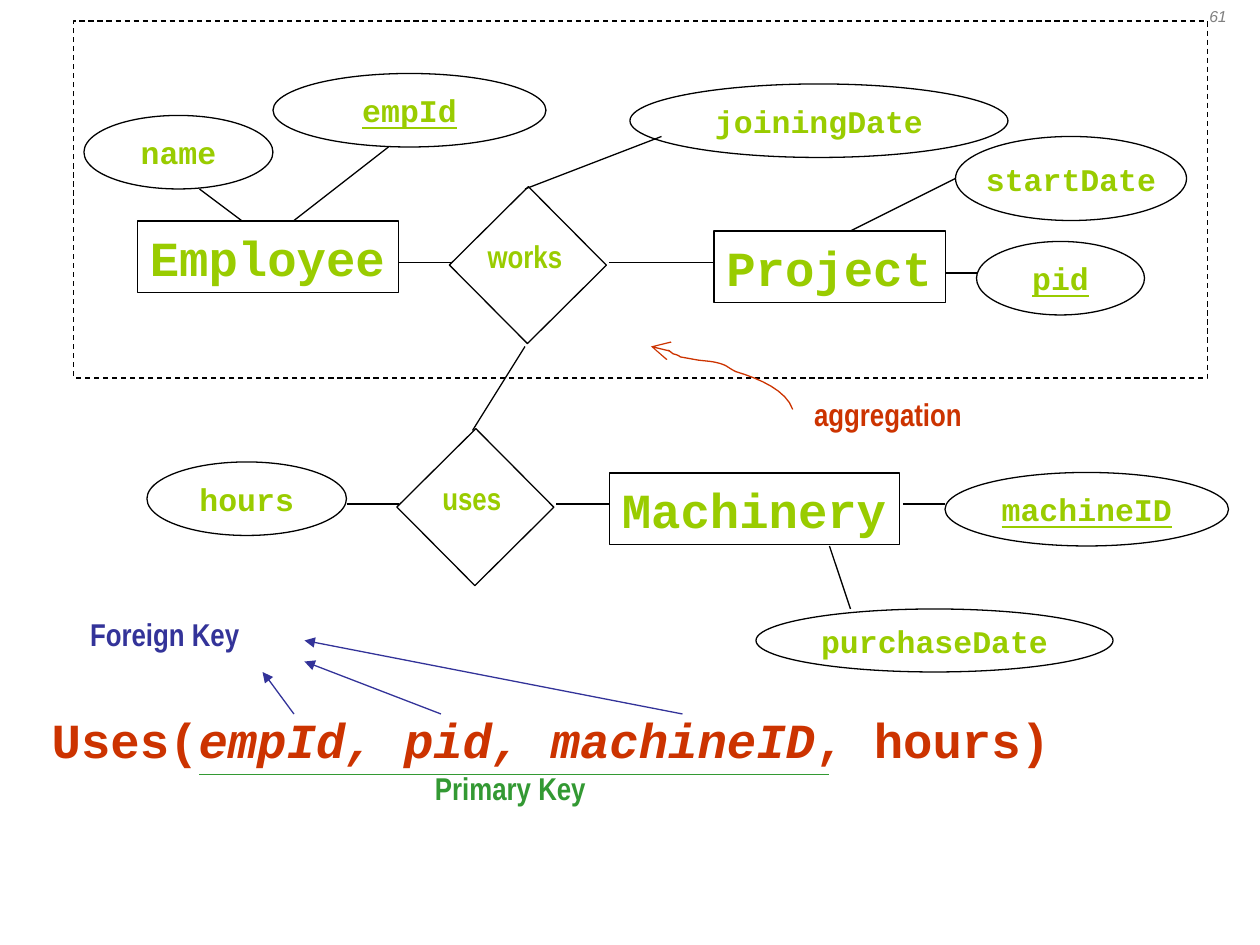
"""Draw an entity-relationship slide that shows aggregation."""
from dataclasses import dataclass
from typing import Any, NamedTuple

from lxml.etree import SubElement
from pptx import Presentation
from pptx.dml.color import RGBColor
from pptx.enum.dml import MSO_LINE
from pptx.enum.shapes import MSO_CONNECTOR, MSO_SHAPE
from pptx.enum.text import MSO_ANCHOR, MSO_AUTO_SIZE, PP_ALIGN
from pptx.oxml.ns import qn
from pptx.util import Emu, Inches, Pt


@dataclass(frozen=True)
class Theme:
    ink: str = "000000"
    lime: str = "99CC00"
    red: str = "CC3300"
    blue: str = "333399"
    green: str = "339933"
    gray: str = "808080"
    mono: str = "Courier New"
    thin: str = "Arial Narrow"
    sans: str = "Arial"
    large: int = 28
    body: int = 18
    small: int = 9
    rule: float = 0.75


class Box(NamedTuple):
    col: float
    row: float
    wide: float
    high: float


class Node(NamedTuple):
    word: str
    box: Box
    key: bool = False


class Label(NamedTuple):
    word: str
    box: Box
    color: str


class Link(NamedTuple):
    col: float
    row: float
    col2: float
    row2: float


Point = tuple[float, float]
Style = dict[str, Any]

T = Theme()
WIDE, HIGH = Inches(10), Inches(7.5)
COLS, ROWS = 120, 90
TAG = {"name": T.thin, "size": Pt(T.body), "bold": True}
FIELD = {"name": T.mono, "size": Pt(T.body), "bold": True}
TITLE = {"name": T.mono, "size": Pt(T.large), "bold": True}
PAGE = {"name": T.sans, "size": Pt(T.small), "italic": True}
GROW = {"word_wrap": False, "auto_size": MSO_AUTO_SIZE.SHAPE_TO_FIT_TEXT,
        "vertical_anchor": MSO_ANCHOR.TOP}
MID = {"word_wrap": False, "vertical_anchor": MSO_ANCHOR.MIDDLE}
WRAP = {"word_wrap": True, "vertical_anchor": MSO_ANCHOR.TOP}
HOLLOW = {"type": "arrow", "w": "lg", "len": "lg"}
SOLID = {"type": "triangle"}

FRAME = Box(7, 2, 108, 34)
RHOMBS = [Box(45, 19.95, 10.55, 10.6), Box(40, 43, 10.55, 10.6)]
TABLES = [
    Node("Employee", Box(13.1, 21.05, 24.85, 6.8)),
    Node("Project", Box(68, 22, 22.05, 6.8)),
    Node("Machinery", Box(58.05, 45.05, 27.65, 6.8)),
]
FIELDS = [
    Node("name", Box(8, 11, 18, 7)),
    Node("joiningDate", Box(60, 8, 36, 7)),
    Node("machineID", Box(90, 45, 27, 7), True),
    Node("purchaseDate", Box(72, 58, 34, 6)),
    Node("empId", Box(26, 7, 26, 7), True),
    Node("hours", Box(14, 44, 19, 7)),
    Node("pid", Box(93, 23, 16, 7), True),
    Node("startDate", Box(91, 13, 22, 8)),
]
LABELS = [
    Label("works", Box(45.25, 22, 9.7, 4.8), T.lime),
    Label("uses", Box(40.95, 45, 8.2, 4.8), T.lime),
    Label("aggregation", Box(76.35, 37, 16.8, 4.8), T.red),
    Label("Primary Key", Box(40.25, 72.7, 17, 4.8), T.green),
    Label("Foreign Key", Box(7.4, 58, 16.8, 4.8), T.blue),
]
LINKS = [
    Link(23, 21, 19, 18), Link(28, 21, 37, 14), Link(38, 25, 43, 25),
    Link(58, 25, 68, 25), Link(53, 48, 58, 48), Link(79, 52, 81, 58),
    Link(50, 18, 63, 13), Link(38, 48, 33, 48), Link(45, 41, 50, 33),
    Link(86, 48, 90, 48), Link(81, 22, 91, 17), Link(90, 26, 93, 26),
]
ARROWS = [Link(42, 68, 29, 63), Link(65, 68, 29, 61)]
KEYLINE = Link(19, 73.75, 79, 73.75)
SWOOP = [
    (75.5, 39), (74.9, 37.2), (72.4, 36.1), (70.1, 35.4),
    (69.6, 35.2), (69.2, 34.8), (68.8, 34.7),
    (68, 34.4), (67.2, 34.4), (66.5, 34.3),
    (65.9, 34.2), (65.4, 34.1), (64.8, 34),
    (64.6, 33.8), (64.1, 33.7), (64.1, 33.7),
    (64, 33.6), (63.7, 33.4), (63.6, 33.3),
    (63, 33.2), (62, 33), (62, 33),
]
HOOK = [(28, 68), (26.8, 66.4), (25.6, 64.7), (25, 64)]


def place(*cells: float) -> list[Emu]:
    """Turn alternating columns and rows into slide lengths."""
    units = (WIDE / COLS, HIGH / ROWS)
    return [Emu(round(cell * units[i % 2])) for i, cell in enumerate(cells)]


def apply(item: Any, style: Style) -> None:
    """Set every value of a style on an item."""
    for name, value in style.items():
        setattr(item, name, value)


def stroke(item: Any, color: str, tip: Style | None = None) -> None:
    """Give an item a thin line and perhaps an arrow tip."""
    item.line.color.rgb = RGBColor.from_string(color)
    item.line.width = Pt(T.rule)
    if tip:
        edge = item._element.spPr.find(qn("a:ln"))
        SubElement(edge, qn("a:tailEnd"), tip)


def write(item: Any, runs: list[tuple[str, Style]], frame: Style,
          color: str, align: PP_ALIGN) -> None:
    """Fill an item with one paragraph of styled runs."""
    apply(item.text_frame, frame)
    para = item.text_frame.paragraphs[0]
    para.alignment = align
    for word, style in runs:
        run = para.add_run()
        run.text = word
        apply(run.font, style)
        run.font.color.rgb = RGBColor.from_string(color)


def shape(slide: Any, kind: MSO_SHAPE, box: Box) -> Any:
    """Add a hollow outlined shape."""
    item = slide.shapes.add_shape(kind, *place(*box))
    item.shadow.inherit = False
    item.fill.background()
    stroke(item, T.ink)
    return item


def note(slide: Any, box: Box, runs: list[tuple[str, Style]], color: str,
         frame: Style = GROW, align: PP_ALIGN = PP_ALIGN.LEFT) -> None:
    """Add a text box."""
    write(slide.shapes.add_textbox(*place(*box)), runs, frame, color, align)


def join(slide: Any, link: Link, color: str, tip: Style | None = None) -> None:
    """Add a straight line between two grid points."""
    item = slide.shapes.add_connector(MSO_CONNECTOR.STRAIGHT, *place(*link))
    stroke(item, color, tip)
    SubElement(item._element.spPr, qn("a:effectLst"))


def curve(slide: Any, knots: list[Point], color: str, tip: Style,
          steps: int = 8) -> None:
    """Add an open outline along chained cubic curves."""
    dots = []
    for i in range(0, len(knots) - 1, 3):
        for step in range(1, steps + 1):
            t = step / steps
            parts = ((1 - t) ** 3, 3 * t * (1 - t) ** 2, 3 * t * t * (1 - t), t ** 3)
            dots.append(place(*(sum(w * k[axis] for w, k in zip(parts, knots[i:i + 4]))
                                for axis in (0, 1))))
    pen = slide.shapes.build_freeform(*place(*knots[0]))
    pen.add_line_segments(dots, close=False)
    item = pen.convert_to_shape()
    item.shadow.inherit = False
    item.fill.background()
    stroke(item, color, tip)


def main() -> None:
    """Build and save the slide."""
    deck = Presentation()
    apply(deck, {"slide_width": WIDE, "slide_height": HIGH})
    slide = deck.slides.add_slide(deck.slide_layouts[6])
    note(slide, Box(112, 0.05, 8, 6), [("61", PAGE)], T.gray, WRAP, PP_ALIGN.CENTER)
    shape(slide, MSO_SHAPE.RECTANGLE, FRAME).line.dash_style = MSO_LINE.DASH
    for box in RHOMBS:
        shape(slide, MSO_SHAPE.RECTANGLE, box).rotation = 45.2
    for node in TABLES:
        item = shape(slide, MSO_SHAPE.RECTANGLE, node.box)
        write(item, [(node.word, TITLE)], GROW, T.lime, PP_ALIGN.LEFT)
    for node in FIELDS:
        item = shape(slide, MSO_SHAPE.OVAL, node.box)
        style = FIELD | {"underline": node.key}
        write(item, [(node.word, style)], MID, T.lime, PP_ALIGN.CENTER)
    for link in LINKS:
        join(slide, link, T.ink)
    for label in LABELS:
        note(slide, label.box, [(label.word, TAG)], label.color)
    note(slide, Box(3.75, 67, 97.9, 6.8),
         [("Uses(", TITLE), ("empId, pid, machineID", TITLE | {"italic": True}),
          (", hours)", TITLE)], T.red)
    join(slide, KEYLINE, T.green)
    curve(slide, SWOOP, T.red, HOLLOW)
    curve(slide, HOOK, T.blue, SOLID)
    for link in ARROWS:
        join(slide, link, T.blue, SOLID)
    deck.save("out.pptx")


if __name__ == "__main__":
    main()
